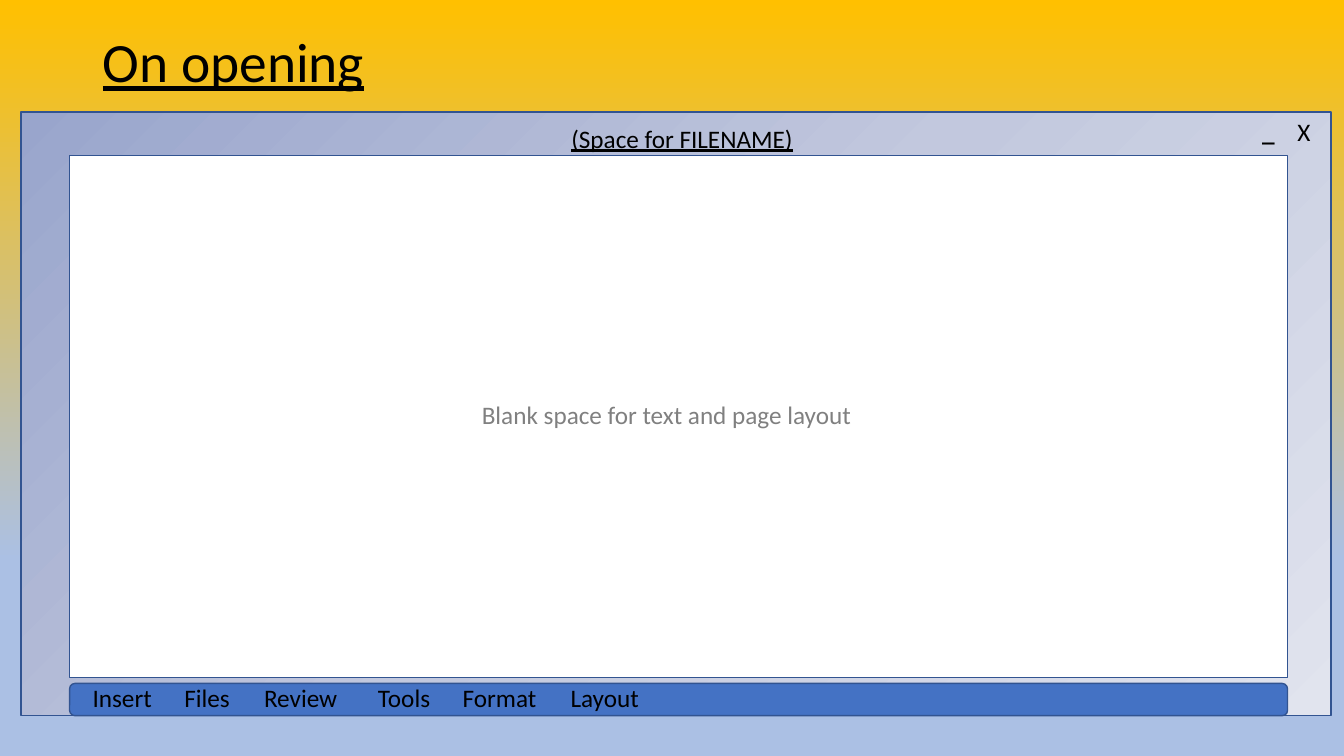
from lxml.etree import SubElement
from pptx import Presentation
from pptx.dml.color import RGBColor
from pptx.enum.shapes import MSO_SHAPE as Shape
from pptx.enum.text import MSO_ANCHOR as Anchor, MSO_AUTO_SIZE as AutoSize, PP_ALIGN as Align
from pptx.oxml.ns import qn
from pptx.util import Inches, Pt

COLORS = {
    "gold": "FFC000", "sky": "ABC0E4",
    "frame_dark": "99A5CC", "frame_mid": "C2C8DE", "frame_light": "E1E4EE",
    "bar": "4472C4", "outline": "325491", "page": "FFFFFF",
    "ink": "000000", "hint": "808080",
}


class WindowSlide:
    font = "Calibri"
    text_size = 18

    def __init__(self, deck):
        self.slide = deck.slides.add_slide(deck.slide_layouts[5])

    def color(self, name):
        return RGBColor.from_string(COLORS[name])

    def gradient(self, fill, element, stops, angle):
        fill.gradient()
        fill.gradient_angle = 360 - angle
        stop_list = next(element.iter(qn("a:gsLst")))
        for stop in list(stop_list):
            stop_list.remove(stop)
        for percent, name in stops:
            stop = SubElement(stop_list, qn("a:gs"), pos=str(percent * 1000))
            SubElement(stop, qn("a:srgbClr"), val=COLORS[name])

    def background(self, stops, angle):
        self.gradient(self.slide.background.fill, self.slide.element, stops, angle)

    def place(self, shape, box):
        shape.left, shape.top, shape.width, shape.height = map(Inches, box)

    def run(self, paragraph, text, color="ink", size=None, bold=False, underline=False):
        run = paragraph.add_run()
        run.text = text
        font = run.font
        font.name, font.size = self.font, Pt(size or self.text_size)
        font.bold, font.underline = bold, underline
        font.color.rgb = self.color(color)

    def title(self, text, box):
        title = self.slide.shapes.title
        self.place(title, box)
        frame = title.text_frame
        frame.auto_size = AutoSize.NONE
        frame.vertical_anchor = Anchor.MIDDLE
        paragraph = frame.paragraphs[0]
        paragraph.alignment = Align.LEFT
        paragraph.line_spacing = 0.9
        self.run(paragraph, text, size=39.6, underline=True)

    def panel(self, kind, box, fill=None, stops=None, angle=0):
        panel = self.slide.shapes.add_shape(kind, *map(Inches, box))
        panel.shadow.inherit = False
        if stops:
            self.gradient(panel.fill, panel.element, stops, angle)
        else:
            panel.fill.solid()
            panel.fill.fore_color.rgb = self.color(fill)
        panel.line.color.rgb = self.color("outline")
        panel.line.width = Pt(1)

    def label(self, box, runs, align=Align.LEFT, tabs=()):
        frame = self.slide.shapes.add_textbox(*map(Inches, box)).text_frame
        frame.word_wrap = True
        frame.auto_size = AutoSize.SHAPE_TO_FIT_TEXT
        paragraph = frame.paragraphs[0]
        paragraph.alignment = align
        if tabs:
            tab_list = SubElement(paragraph._p.get_or_add_pPr(), qn("a:tabLst"))
            for tab in tabs:
                SubElement(tab_list, qn("a:tab"), pos=str(Inches(tab)), algn="l")
        for text, style in runs:
            self.run(paragraph, text, **style)


def main():
    deck = Presentation()
    deck.slide_width, deck.slide_height = Inches(13.33), Inches(7.5)
    window = WindowSlide(deck)
    window.background([(0, "gold"), (74, "sky"), (83, "sky")], 90)
    window.title("On opening", (0.92, 0.4, 11.5, 0.49))

    window.panel(Shape.RECTANGLE, (0.21, 1.11, 12.99, 5.99), angle=45,
                 stops=[(0, "frame_dark"), (50, "frame_mid"), (100, "frame_light")])
    window.panel(Shape.ROUNDED_RECTANGLE, (0.69, 6.78, 12.08, 0.32), "bar")
    window.panel(Shape.RECTANGLE, (0.69, 1.54, 12.08, 5.18), "page")

    window.label((12.42, 1.1, 0.78, 0.4), [("_\t", {"bold": True}), ("X", {})], tabs=[0.35])
    window.label((4.21, 1.17, 5.11, 0.4), [("(Space for FILENAME)", {"underline": True})],
                 Align.CENTER)
    window.label((4.68, 3.91, 4.15, 0.4),
                 [("Blank space for text and page layout", {"color": "hint"})])

    menus = ["Insert", "Files", "Review", "Tools", "Format", "Layout"]
    window.label((0.82, 6.72, 11.95, 0.4), [("\t".join(menus), {})],
                 tabs=[0.91, 1.7, 2.83, 3.67, 4.74])
    deck.save("out.pptx")


if __name__ == "__main__":
    main()
